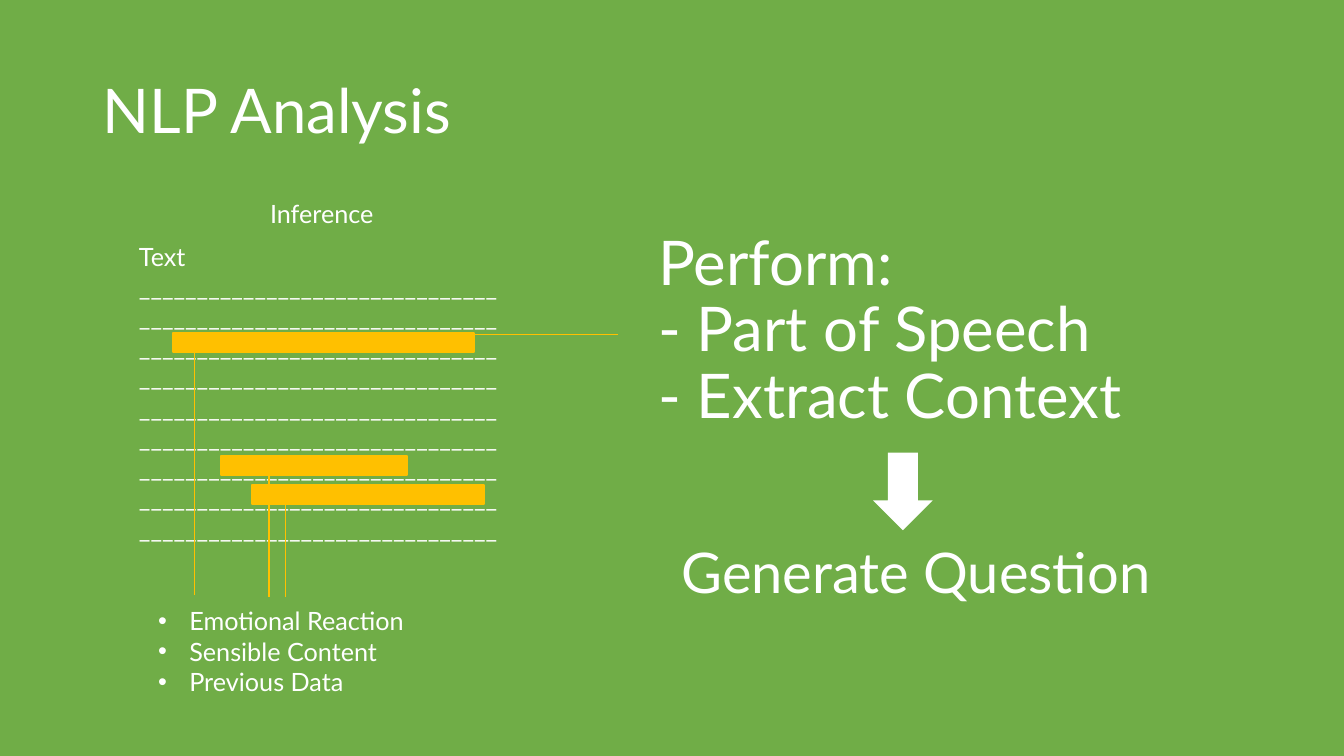
import dataclasses
import typing

import lxml.etree
import pptx
import pptx.dml.color
import pptx.enum.shapes
import pptx.enum.text
import pptx.oxml.ns
import pptx.util

PX = 9144  # EMU per px, 100 px to the inch
FONT = "Lato"
GREEN, AMBER, WHITE = "70AD47", "FFC000", "FFFFFF"
Align = pptx.enum.text.PP_ALIGN
Anchor = pptx.enum.text.MSO_ANCHOR
Shape = pptx.enum.shapes.MSO_SHAPE


class Box(typing.NamedTuple):
    left: int
    top: int
    width: int
    height: int


class Line(typing.NamedTuple):
    x1: int
    y1: int
    x2: int
    y2: int


@dataclasses.dataclass
class Note:
    box: Box
    lines: list[str]
    size: int = 18
    align: typing.Any = Align.LEFT
    anchor: typing.Any = Anchor.TOP
    space: float = 1.0
    bullet: bool = False


TITLE = Note(Box(92, 40, 1150, 145), ["NLP Analysis"], 44,
             anchor=Anchor.MIDDLE, space=0.9)
NOTES = [
    Note(Box(128, 234, 411, 343), ["Text"] + ["_" * 31] * 9),
    Note(Box(643, 192, 621, 274),
         ["Perform:", "- Part of Speech", "- Extract Context"], 44,
         anchor=Anchor.MIDDLE, space=0.9),
    Note(Box(147, 596, 667, 101),
         ["Emotional Reaction", "Sensible Content", "Previous Data"], bullet=True),
    Note(Box(258, 192, 667, 40), ["Inference"]),
    Note(Box(613, 528, 591, 77), ["Generate Question"], 40, Align.CENTER),
]
BARS = [Box(172, 330, 298, 19), Box(219, 452, 185, 19), Box(250, 481, 230, 19)]
LINES = [Line(193, 590, 193, 330), Line(267, 592, 267, 452),
         Line(283, 592, 283, 481), Line(613, 332, 470, 332)]
ARROW = Box(866, 449, 59, 77)


def emu(values: typing.Iterable[int]) -> list[int]:
    return [value * PX for value in values]


def paint(target: typing.Any, color: str) -> None:
    """Give a fill a solid colour."""
    target.solid()
    target.fore_color.rgb = pptx.dml.color.RGBColor.from_string(color)


def add_bullet(para: typing.Any) -> None:
    props = para._p.get_or_add_pPr()
    props.set("marL", str(31 * PX))
    props.set("indent", str(-31 * PX))
    qn = pptx.oxml.ns.qn
    lxml.etree.SubElement(props, qn("a:buFont"), typeface="Arial")
    lxml.etree.SubElement(props, qn("a:buChar"), char="•")


def write(frame: typing.Any, note: Note) -> None:
    frame.word_wrap = True
    frame.auto_size = pptx.enum.text.MSO_AUTO_SIZE.NONE
    frame.vertical_anchor = note.anchor
    frame.text = "\n".join(note.lines)
    for para in frame.paragraphs:
        para.alignment = note.align
        para.line_spacing = note.space
        para.font.name = FONT
        para.font.size = pptx.util.Pt(note.size)
        paint(para.font.fill, WHITE)
        if note.bullet:
            add_bullet(para)


def add_title(slide: typing.Any, note: Note) -> None:
    title = slide.shapes.title
    title.left, title.top, title.width, title.height = emu(note.box)
    write(title.text_frame, note)


def add_note(slide: typing.Any, note: Note) -> None:
    write(slide.shapes.add_textbox(*emu(note.box)).text_frame, note)


def add_shape(slide: typing.Any, kind: typing.Any, box: Box, color: str) -> typing.Any:
    shape = slide.shapes.add_shape(kind, *emu(box))
    shape.shadow.inherit = False
    paint(shape.fill, color)
    shape.line.fill.background()
    return shape


def add_bar(slide: typing.Any, box: Box) -> None:
    bar = add_shape(slide, Shape.RECTANGLE, box, AMBER)
    paint(bar.line.fill, AMBER)
    bar.line.width = pptx.util.Pt(1.5)


def add_line(slide: typing.Any, line: Line) -> None:
    kind = pptx.enum.shapes.MSO_CONNECTOR.STRAIGHT
    link = slide.shapes.add_connector(kind, *emu(line))
    paint(link.line.fill, AMBER)
    link.line.width = pptx.util.Pt(1)
    lxml.etree.SubElement(link._element.spPr, pptx.oxml.ns.qn("a:effectLst"))


def main() -> None:
    deck = pptx.Presentation()
    deck.slide_width, deck.slide_height = emu((1333, 750))
    slide = deck.slides.add_slide(deck.slide_layouts.get_by_name("Title Only"))
    paint(slide.background.fill, GREEN)
    add_title(slide, TITLE)
    for note in NOTES:
        add_note(slide, note)
    for bar in BARS:
        add_bar(slide, bar)
    for line in LINES:
        add_line(slide, line)
    add_shape(slide, Shape.DOWN_ARROW, ARROW, WHITE)
    deck.save("out.pptx")


if __name__ == "__main__":
    main()
